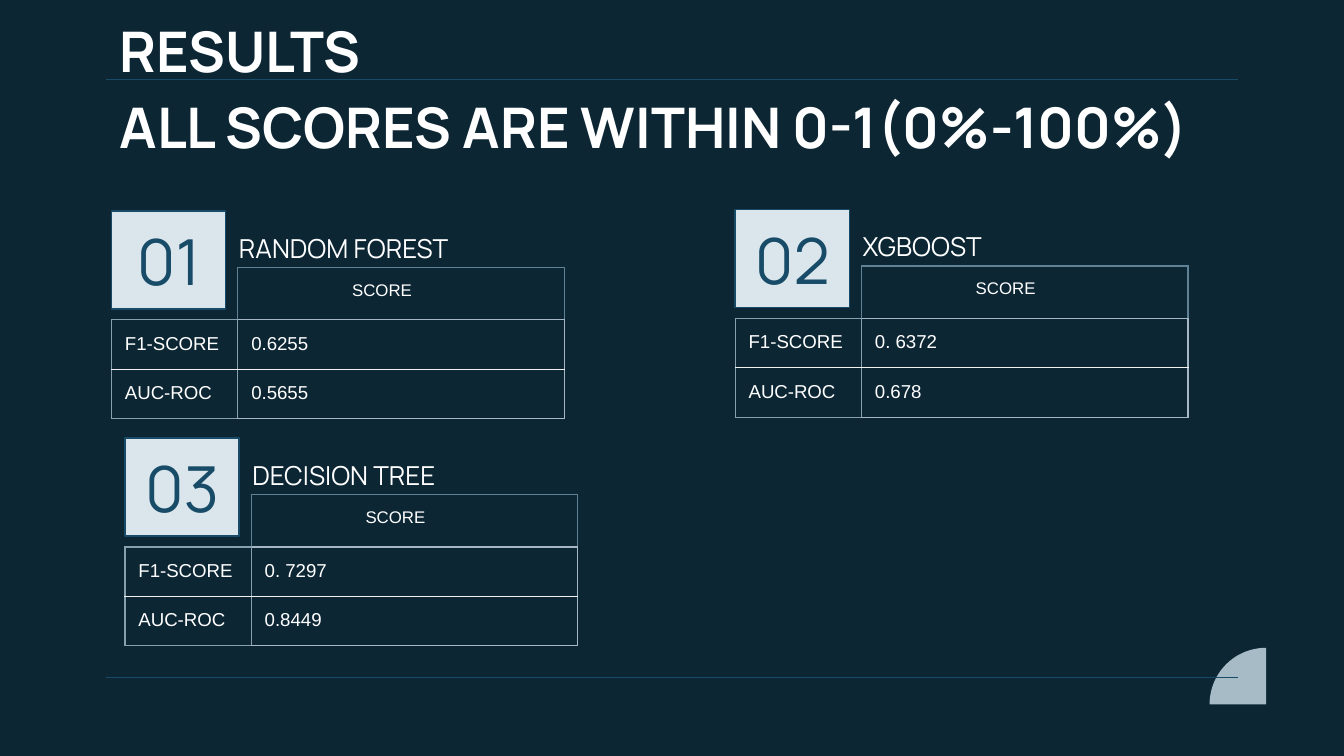
"""Build the slide of model scores with one numbered table for each model."""
import math

import pptx
import pptx.util
from lxml import etree
from pptx.dml.color import RGBColor
from pptx.enum.shapes import MSO_CONNECTOR, MSO_SHAPE
from pptx.enum.text import MSO_ANCHOR, PP_ALIGN
from pptx.oxml.ns import qn
from pptx.util import Inches

COLORS = {
    "background": "0C2634", "accent": "174B67", "badge": "DAE6EC",
    "corner": "A7BBC7", "text": "FFFFFF", "header": "5F8195",
    "label": "869FB1", "value": "A5B7C5", "divider": "F2F2F2",
}
TITLE = {"size": 30, "name": "Manrope", "bold": True, "color": "text"}
HEADING = {"size": 14, "name": "Manrope", "bold": False, "color": "text"}
NUMBER = {"size": 34, "name": "Manrope", "bold": False, "color": "accent"}
SCORE = {"size": 9, "name": "Arial", "bold": False, "color": "text"}
CELL = {"size": 10, "name": "Arial", "bold": False, "color": "text"}
MODELS = [
    ("01", "RANDOM FOREST", 0.83, 1.57, 2.07, "0.6255", "0.5655"),
    ("02", "XGBOOST", 5.47, 1.56, 3.6, "0. 6372", "0.678"),
    ("03", "DECISION TREE", 0.93, 3.26, 3.6, "0. 7297", "0.8449"),
]
COLUMN_WIDTHS = [0.94, 0.75, 0.84, 0.84]
ROW_HEIGHTS = [0.39, 0.32, 0.32]
BADGE_W, BADGE_H = 0.85, 0.73
NO_GRID_STYLE = "{2D5ABB26-0587-4C30-8999-92F81FD0307C}"


def rgb(name):
    """Return the named colour."""
    return RGBColor.from_string(COLORS[name])


def write(tf, text, style, anchor=MSO_ANCHOR.TOP, align=PP_ALIGN.LEFT):
    """Put one styled paragraph in a text frame."""
    frame = {"word_wrap": True, "vertical_anchor": anchor}
    for side in ("left", "right", "top", "bottom"):
        frame["margin_" + side] = Inches(0.1)
    for key, value in frame.items():
        setattr(tf, key, value)
    p = tf.paragraphs[0]
    p.alignment = align
    r = p.add_run()
    r.text = text
    format_font(r.font, style)


def format_font(font, style):
    """Apply a style to a font."""
    values = {**style, "size": pptx.util.Pt(style["size"])}
    font.color.rgb = rgb(values.pop("color"))
    for key, value in values.items():
        setattr(font, key, value)


def add_title(s, text, x, y, w, h):
    """Move and fill the title placeholder."""
    sp = s.shapes.title
    box = {"left": x, "top": y, "width": w, "height": h}
    for key, value in box.items():
        setattr(sp, key, Inches(value))
    write(sp.text_frame, text, TITLE)


def add_text(s, text, x, y, w, h, style, anchor=MSO_ANCHOR.TOP):
    """Add a text box."""
    sp = s.shapes.add_textbox(Inches(x), Inches(y), Inches(w), Inches(h))
    write(sp.text_frame, text, style, anchor)


def add_rule(s, y):
    """Add a thin horizontal line across the slide."""
    line = s.shapes.add_connector(
        MSO_CONNECTOR.STRAIGHT, Inches(0.79), Inches(y), Inches(9.21), Inches(y))
    line.line.color.rgb = rgb("accent")
    line.line.width = pptx.util.Pt(0.75)
    etree.SubElement(line._element.spPr, qn("a:effectLst"))


def add_corner(s, x, y, radius, steps=30):
    """Add a quarter disc whose centre is its lower right corner."""
    angles = [math.pi / 2 * i / steps for i in range(steps + 1)]
    arc = [(Inches(x - radius * math.sin(a)), Inches(y - radius * math.cos(a)))
           for a in angles]
    builder = s.shapes.build_freeform(Inches(x), Inches(y))
    builder.add_line_segments(arc, close=True)
    sp = builder.convert_to_shape()
    sp.fill.solid()
    sp.fill.fore_color.rgb = rgb("corner")
    sp.line.fill.background()
    sp.shadow.inherit = False


def add_badge(s, number, x, y):
    """Add a numbered square."""
    sp = s.shapes.add_shape(
        MSO_SHAPE.RECTANGLE, Inches(x), Inches(y), Inches(BADGE_W), Inches(BADGE_H))
    sp.shadow.inherit = False
    sp.fill.solid()
    sp.fill.fore_color.rgb = rgb("badge")
    sp.line.color.rgb = rgb("accent")
    sp.line.width = pptx.util.Pt(0.75)
    write(sp.text_frame, number, NUMBER, MSO_ANCHOR.MIDDLE, PP_ALIGN.CENTER)


def cell_borders(row, col):
    """Return the border colours of a cell, by side."""
    if row == 0 and col == 0:
        return {"R": "header", "B": "label"}
    outer = "label" if col == 0 else "value"
    borders = {}
    if col < 2:
        borders["L"] = "header" if row == 0 else "label"
    if col == 0:
        borders["R"] = "label"
    elif col == 3:
        borders["R"] = "header" if row == 0 else "value"
    borders["T"] = ("header", outer, "divider")[row]
    borders["B"] = (outer, "divider", outer)[row]
    return borders


def draw_borders(cell, borders):
    """Draw the borders of a cell and clear its other sides."""
    tc_pr = cell._tc.get_or_add_tcPr()
    for i, side in enumerate("LRTB"):
        ln = etree.Element(qn("a:ln" + side), w=str(pptx.util.Pt(0.75)))
        if side in borders:
            fill = etree.SubElement(ln, qn("a:solidFill"))
            etree.SubElement(fill, qn("a:srgbClr"), val=COLORS[borders[side]])
        else:
            etree.SubElement(ln, qn("a:noFill"))
        tc_pr.insert(i, ln)


def write_cell(cell, text, style):
    """Write a cell and keep an empty one from stretching its row."""
    for side in ("left", "right", "top", "bottom"):
        setattr(cell, "margin_" + side, Inches(0.1 if text else 0))
    p = cell.text_frame.paragraphs[0]
    if text:
        r = p.add_run()
        r.text = text
        format_font(r.font, style)
    end = etree.SubElement(p._p, qn("a:endParaRPr"), sz=str(style["size"] * 100))
    etree.SubElement(end, qn("a:latin"), typeface=style["name"])


def add_scores(s, x, y, f1, auc):
    """Add the table of scores of one model."""
    rows = [["", "", "SCORE", ""], ["F1-SCORE", f1, "", ""], ["AUC-ROC", auc, "", ""]]
    table = s.shapes.add_table(
        len(rows), len(COLUMN_WIDTHS), Inches(x), Inches(y),
        Inches(sum(COLUMN_WIDTHS)), Inches(sum(ROW_HEIGHTS))).table
    table.first_row = table.horz_banding = False
    table._tbl.tblPr.find(qn("a:tableStyleId")).text = NO_GRID_STYLE
    for column, width in zip(table.columns, COLUMN_WIDTHS):
        column.width = Inches(width)
    for row, height in zip(table.rows, ROW_HEIGHTS):
        row.height = Inches(height)
    for i, texts in enumerate(rows):
        for j, text in enumerate(texts):
            cell = table.cell(i, j)
            cell.fill.background()
            draw_borders(cell, cell_borders(i, j))
            write_cell(cell, text, SCORE if i == 0 else CELL)


def add_model(s, number, name, x, y, name_width, f1, auc):
    """Add the badge, heading and scores of one model."""
    add_badge(s, number, x, y)
    add_text(s, name, x + BADGE_W, y + 0.06, name_width, 0.43, HEADING,
             MSO_ANCHOR.BOTTOM)
    add_scores(s, x, y + 0.42, f1, auc)


def main():
    """Build and save the presentation."""
    prs = pptx.Presentation()
    prs.slide_width, prs.slide_height = Inches(10), Inches(10 * 9 / 16)
    s = prs.slides.add_slide(prs.slide_layouts[5])
    s.background.fill.solid()
    s.background.fill.fore_color.rgb = rgb("background")
    add_corner(s, 9.42, 5.24, 0.42)
    for y in (0.59, 5.04):
        add_rule(s, y)
    add_title(s, "ALL SCORES ARE WITHIN 0-1(0%-100%)", 0.79, 0.59, 8.43, 0.57)
    for model in MODELS:
        add_model(s, *model)
    add_text(s, "RESULTS", 0.79, 0.02, 8.43, 0.57, TITLE)
    prs.save("out.pptx")


if __name__ == "__main__":
    main()
